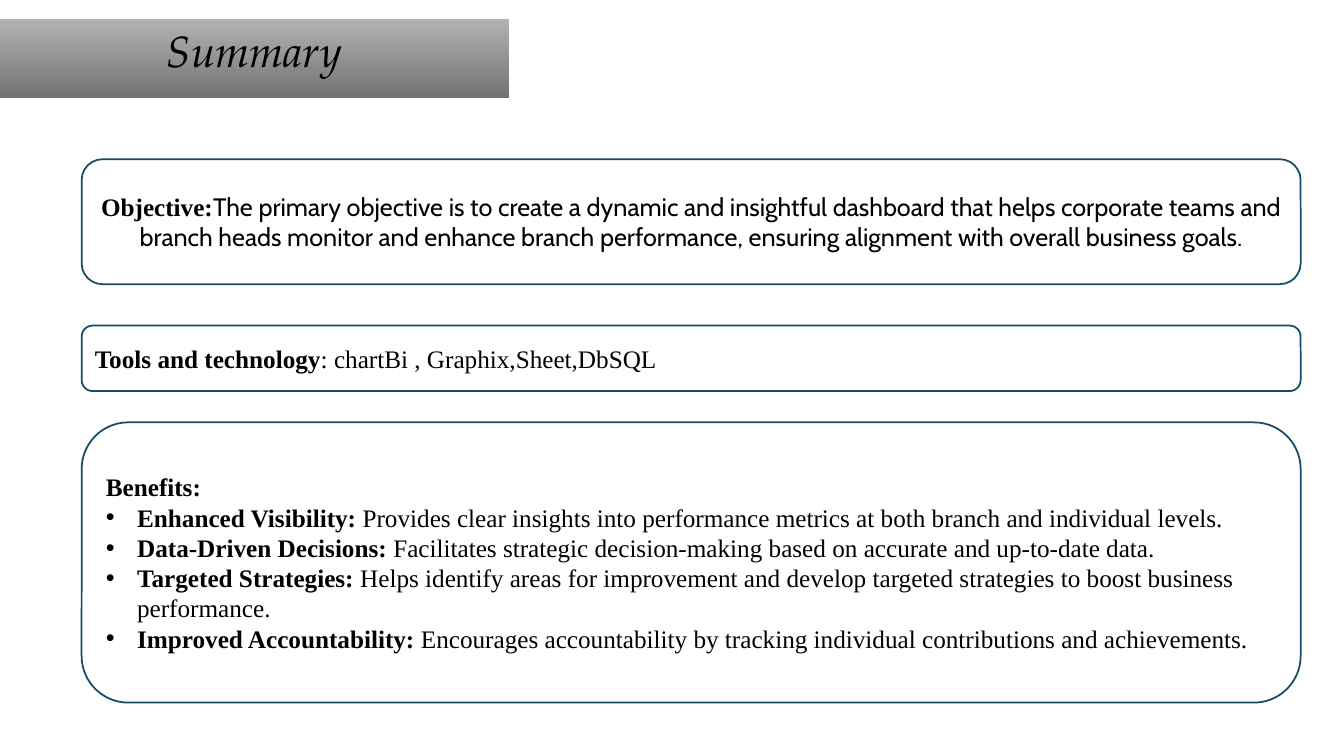
from dataclasses import dataclass

from lxml import etree
from pptx import Presentation, util as u
from pptx.dml.color import RGBColor
from pptx.enum import shapes, text
from pptx.oxml.ns import qn

PX = 9144  # EMU per px, at 100 px to the inch


@dataclass(frozen=True)
class Theme:
    ink: str = "000000"
    outline: str = "154B67"
    bar_top: str = "B2B2B2"
    bar_bottom: str = "737373"
    title_font: str = "TeX Gyre Pagella"
    label_font: str = "Times New Roman"
    prose_font: str = "Cabin"
    title_size: float = 31.2
    body_size: float = 18
    outline_width: float = 1.25


def px(*lengths):
    return [u.Emu(n * PX) for n in lengths]


def add_text(p, content, *, font, size, color, bold=False, italic=False):
    r = p.add_run()
    r.text = content
    f = r.font
    f.name, f.size, f.bold, f.italic = font, u.Pt(size), bold, italic
    f.color.rgb = RGBColor.from_string(color)


class SummarySlide:
    def __init__(self, prs, theme):
        self.theme = theme
        self.s = prs.slides.add_slide(prs.slide_layouts[1])

    def place(self, sp, box, anchor):
        sp.left, sp.top, sp.width, sp.height = px(*box)
        tf = sp.text_frame
        tf.word_wrap = True
        tf.auto_size = text.MSO_AUTO_SIZE.NONE
        tf.vertical_anchor = anchor
        return tf

    def title(self, content, box):
        t = self.theme
        sp = self.s.shapes.title
        p = self.place(sp, box, text.MSO_ANCHOR.TOP).paragraphs[0]
        p.alignment = text.PP_ALIGN.CENTER
        add_text(p, content, font=t.title_font, size=t.title_size,
                 color=t.ink, italic=True)
        sp.fill.gradient()
        sp.fill.gradient_angle = 270
        for stop, color in zip(sp.fill.gradient_stops, (t.bar_top, t.bar_bottom)):
            stop.color.rgb = RGBColor.from_string(color)

    def panel(self, kind, box):
        """Draw an outlined, unfilled panel and return its text frame."""
        sp = self.s.shapes.add_shape(kind, *px(*box))
        sp.shadow.inherit = False
        sp.fill.background()
        sp.line.color.rgb = RGBColor.from_string(self.theme.outline)
        sp.line.width = u.Pt(self.theme.outline_width)
        return self.place(sp, box, text.MSO_ANCHOR.MIDDLE)

    def labelled(self, p, label, content="", font=None, align=text.PP_ALIGN.LEFT):
        """Fill a paragraph with a bold label followed by plain text."""
        t = self.theme
        p.alignment = align
        p.space_before = u.Pt(0)
        add_text(p, label, font=t.label_font, size=t.body_size,
                 color=t.ink, bold=True)
        if content:
            add_text(p, content, font=font or t.label_font,
                     size=t.body_size, color=t.ink)

    def bullets(self, heading, items, box, indent):
        tf = self.place(self.s.placeholders[1], box, text.MSO_ANCHOR.MIDDLE)
        p = tf.paragraphs[0]
        self.labelled(p, heading)
        pPr = p._p.get_or_add_pPr()
        pPr.set("marL", "0")
        pPr.set("indent", "0")
        etree.SubElement(pPr, qn("a:buNone"))
        for label, content in items:
            p = tf.add_paragraph()
            self.labelled(p, label, content)
            pPr = p._p.get_or_add_pPr()
            pPr.set("marL", str(indent * PX))
            pPr.set("indent", str(-indent * PX))


BENEFITS = [
    ("Enhanced Visibility:", " Provides clear insights into performance metrics "
     "at both branch and individual levels."),
    ("Data-Driven Decisions:", " Facilitates strategic decision-making based on "
     "accurate and up-to-date data."),
    ("Targeted Strategies:", " Helps identify areas for improvement and develop "
     "targeted strategies to boost business performance."),
    ("Improved Accountability:", " Encourages accountability by tracking individual "
     "contributions and achievements."),
]


def main():
    prs = Presentation()
    prs.slide_width, prs.slide_height = px(1333, 750)
    theme = Theme()
    slide = SummarySlide(prs, theme)
    left, width, inset = 81, 1209, 14
    rounded = shapes.MSO_SHAPE.ROUNDED_RECTANGLE

    slide.title("Summary", (0, 19, 505, 78))

    objective = slide.panel(rounded, (left, 158, width, 124))
    slide.labelled(
        objective.paragraphs[0], "Objective:",
        "The primary objective is to create a dynamic and insightful dashboard that "
        "helps corporate teams and branch heads monitor and enhance branch "
        "performance, ensuring alignment with overall business goals.",
        font=theme.prose_font, align=text.PP_ALIGN.CENTER)

    tools = slide.panel(rounded, (left, 323, width, 65))
    slide.labelled(tools.paragraphs[0], "Tools and technology",
                   ": chartBi , Graphix,Sheet,DbSQL")

    slide.panel(shapes.MSO_SHAPE.FLOWCHART_ALTERNATE_PROCESS, (left, 419, width, 278))
    slide.bullets("Benefits:", BENEFITS,
                  (left + inset, 419, width - 2 * inset, 278), indent=31)

    prs.save("out.pptx")


if __name__ == "__main__":
    main()
